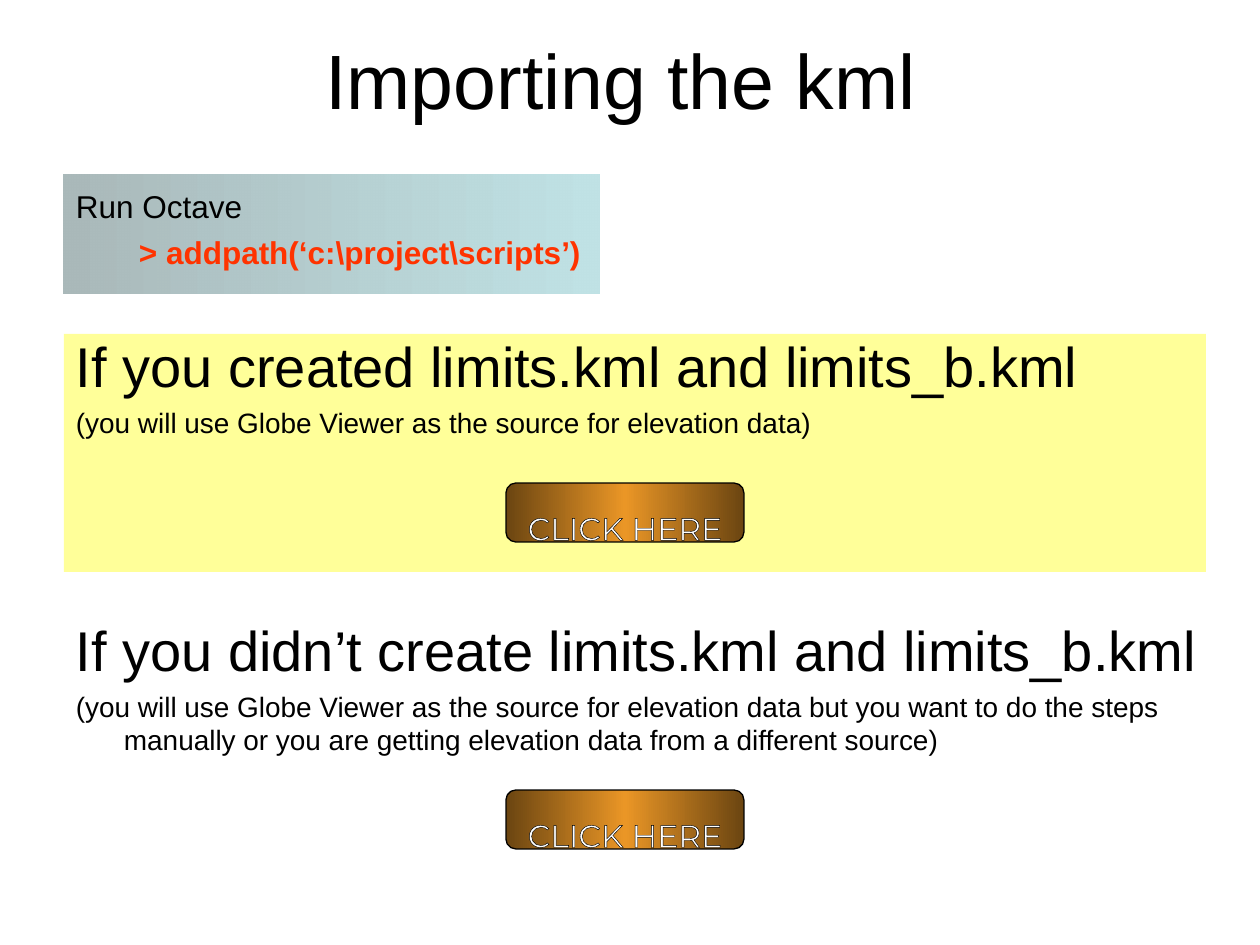
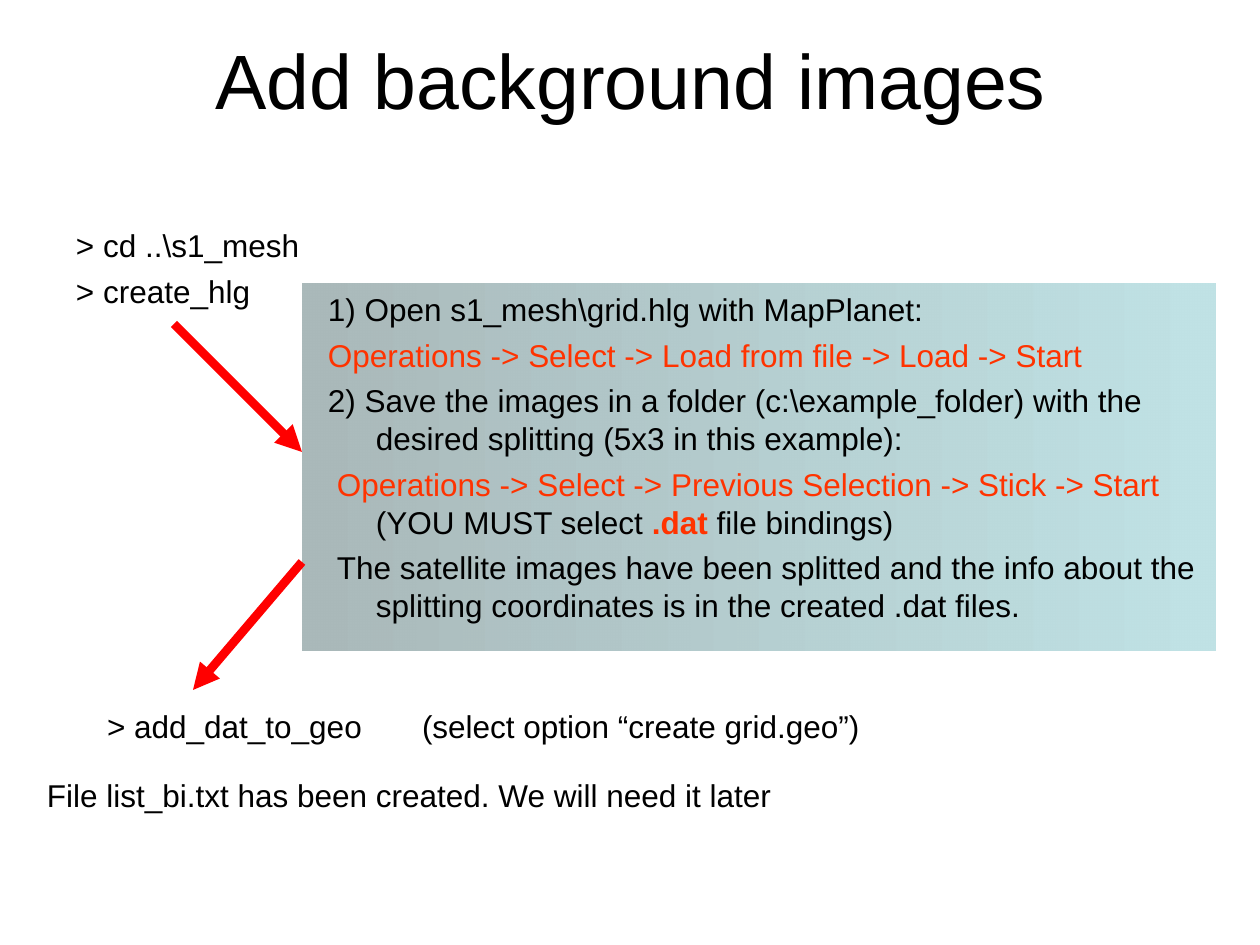
from lxml.etree import SubElement
from pptx import Presentation
from pptx.dml.color import RGBColor
from pptx.enum.shapes import MSO_CONNECTOR as CONNECTOR, MSO_SHAPE as SHAPE
from pptx.enum.text import MSO_ANCHOR as ANCHOR, PP_ALIGN as ALIGN
from pptx.oxml.ns import qn
from pptx.util import Emu, Pt

PX_PER_INCH = 126
BLANK_LAYOUT = 6

BLACK, WHITE = "000000", "FFFFFF"
COMMAND, ARROW, HIGHLIGHT = "FF3300", "FF0000", "FFFF99"
PANEL_STOPS = [(0, "AAB9BA", 100), (100, "BBE0E3", 92)]
BUTTON_STOPS = [(0, "6B4511", 100), (50, "EA9626", 100), (100, "6B4511", 100)]


def px(length):
    return Emu(round(length * 914400 / PX_PER_INCH))


def rgb(value):
    return RGBColor.from_string(value)


def command(text, bold=False):
    return text, {"color": COMMAND, "bold": bold}


class Deck:
    """Holds the shared style and the slide being built."""

    font = "Arial"
    body_size = 18
    title_size = 44
    hanging = 48

    def __init__(self):
        self.presentation = Presentation()
        self.presentation.slide_width = px(1260)
        self.presentation.slide_height = px(945)
        self.slide = None

    def new_slide(self, title, title_left):
        layout = self.presentation.slide_layouts[BLANK_LAYOUT]
        self.slide = self.presentation.slides.add_slide(layout)
        frame = self.text_box(title_left, 0, 1134, 158)
        frame.vertical_anchor = ANCHOR.MIDDLE
        self.add_text(frame, title, size=self.title_size, align=ALIGN.CENTER,
                      hanging=0, before=0)

    def text_box(self, left, top, width, height):
        box = self.slide.shapes.add_textbox(px(left), px(top), px(width), px(height))
        frame = box.text_frame
        frame.word_wrap = True
        frame.margin_left = frame.margin_right = px(13)
        frame.margin_top = frame.margin_bottom = px(6)
        return frame

    def add_text(self, frame, *parts, size=body_size, color=BLACK, bold=False, font=font,
                 align=ALIGN.LEFT, start=0, hanging=hanging, before=None, tab=None,
                 outline=None):
        """Add a paragraph; a part is a text or a (text, run format) pair.

        start is where the first line begins, hanging where the others do.
        """
        used = bool(frame.paragraphs[0].runs)
        paragraph = frame.add_paragraph() if used else frame.paragraphs[0]
        paragraph.alignment = align
        paragraph.space_before = Pt(size / 4 if before is None else before)
        properties = paragraph._p.get_or_add_pPr()
        properties.set("marL", str(px(hanging)))
        properties.set("indent", str(px(start - hanging)))
        if tab:
            tabs = SubElement(properties, qn("a:tabLst"))
            SubElement(tabs, qn("a:tab"), pos=str(px(tab)), algn="l")
        for part in parts:
            if part == "\n":
                paragraph.add_line_break()
                continue
            text, style = part if isinstance(part, tuple) else (part, {})
            run = paragraph.add_run()
            run.text = text
            run.font.name = font
            run.font.size = Pt(size)
            run.font.bold = style.get("bold", bold)
            run.font.color.rgb = rgb(style.get("color", color))
            if outline:
                self.outline_text(run, outline)

    def outline_text(self, run, color):
        properties = run._r.get_or_add_rPr()
        line = SubElement(properties, qn("a:ln"), w=str(Pt(0.75)))
        fill = SubElement(line, qn("a:solidFill"))
        SubElement(fill, qn("a:srgbClr"), val=color)
        properties.insert(0, line)

    def block(self, left, top, width, height, fill, kind=SHAPE.RECTANGLE, line=None):
        """Add a shape; fill is a colour or a list of (position, colour, opacity)."""
        shape = self.slide.shapes.add_shape(kind, px(left), px(top), px(width), px(height))
        shape.shadow.inherit = False
        if isinstance(fill, str):
            shape.fill.solid()
            shape.fill.fore_color.rgb = rgb(fill)
        else:
            self.gradient(shape, fill)
        if line:
            shape.line.color.rgb = rgb(line)
            shape.line.width = Pt(0.75)
        else:
            shape.line.fill.background()

    def gradient(self, shape, stops):
        shape.fill.gradient()
        shape.fill.gradient_angle = 0
        stop_list = shape._element.spPr.find(".//" + qn("a:gsLst"))
        for stop in list(stop_list):
            stop_list.remove(stop)
        for position, color, opacity in stops:
            stop = SubElement(stop_list, qn("a:gs"), pos=str(position * 1000))
            tint = SubElement(stop, qn("a:srgbClr"), val=color)
            if opacity < 100:
                SubElement(tint, qn("a:alpha"), val=str(opacity * 1000))

    def button(self, left, top, label):
        width = 238
        self.block(left, top, width, 59, BUTTON_STOPS, SHAPE.ROUNDED_RECTANGLE, BLACK)
        self.add_text(self.text_box(left, top + 20, width, 52), label, color=WHITE,
                      font="Montserrat", align=ALIGN.CENTER, hanging=0, before=0,
                      outline=BLACK)

    def arrow(self, start, end):
        connector = self.slide.shapes.add_connector(
            CONNECTOR.STRAIGHT, *(px(value) for value in (*start, *end)))
        connector.line.color.rgb = rgb(ARROW)
        connector.line.width = Pt(5)
        SubElement(connector.line._get_or_add_ln(), qn("a:tailEnd"), type="triangle")
        SubElement(connector._element.spPr, qn("a:effectLst"))


def build_import_slide(deck):
    deck.new_slide("Importing the kml", 54)
    deck.block(64, 334, 1142, 238, HIGHLIGHT)
    deck.block(64, 175, 536, 119, PANEL_STOPS)

    octave = deck.text_box(63, 181, 550, 104)
    deck.add_text(octave, "Run Octave")
    deck.add_text(octave, command("> addpath(‘c:\\project\\scripts’)", bold=True),
                  start=63, hanging=102)

    choices = [
        (325, 483, "If you created limits.kml and limits_b.kml",
         "(you will use Globe Viewer as the source for elevation data)"),
        (609, 790, "If you didn’t create limits.kml and limits_b.kml",
         "(you will use Globe Viewer as the source for elevation data but you want to do "
         "the steps manually or you are getting elevation data from a different source)"),
    ]
    for text_top, button_top, heading, detail in choices:
        choice = deck.text_box(63, text_top, 1197, 160)
        deck.add_text(choice, heading, size=32)
        deck.add_text(choice, detail, size=16)
        deck.button(506, button_top, "CLICK HERE")


def build_background_slide(deck):
    deck.new_slide("Add background images", 64)
    deck.block(302, 284, 913, 367, PANEL_STOPS)

    commands = deck.text_box(63, 220, 270, 113)
    deck.add_text(commands, "> cd ..\\s1_mesh")
    deck.add_text(commands, "> create_hlg")

    steps = deck.text_box(315, 284, 945, 347)
    deck.add_text(steps, "1) Open s1_mesh\\grid.hlg with MapPlanet:")
    deck.add_text(steps, command("Operations -> Select -> Load from file -> Load -> Start"))
    deck.add_text(steps, "2) Save the images in a folder (c:\\example_folder) with the "
                         "desired splitting (5x3 in this example):")
    deck.add_text(steps,
                  command("Operations -> Select -> Previous Selection -> Stick -> Start"),
                  "\n", "(YOU MUST select ", command(".dat", bold=True), " file bindings)",
                  start=9)
    deck.add_text(steps, "The satellite images have been splitted and the info about the "
                         "splitting coordinates is in the created .dat files.", start=9)

    deck.arrow((174, 324), (302, 452))
    deck.arrow((302, 562), (193, 690))

    deck.add_text(deck.text_box(94, 701, 814, 60),
                  "> add_dat_to_geo\t(select option “create grid.geo”)", hanging=0, tab=316)
    deck.add_text(deck.text_box(34, 770, 814, 60),
                  "File list_bi.txt has been created. We will need it later")


def main():
    deck = Deck()
    build_import_slide(deck)
    build_background_slide(deck)
    deck.presentation.save("out.pptx")


if __name__ == "__main__":
    main()
